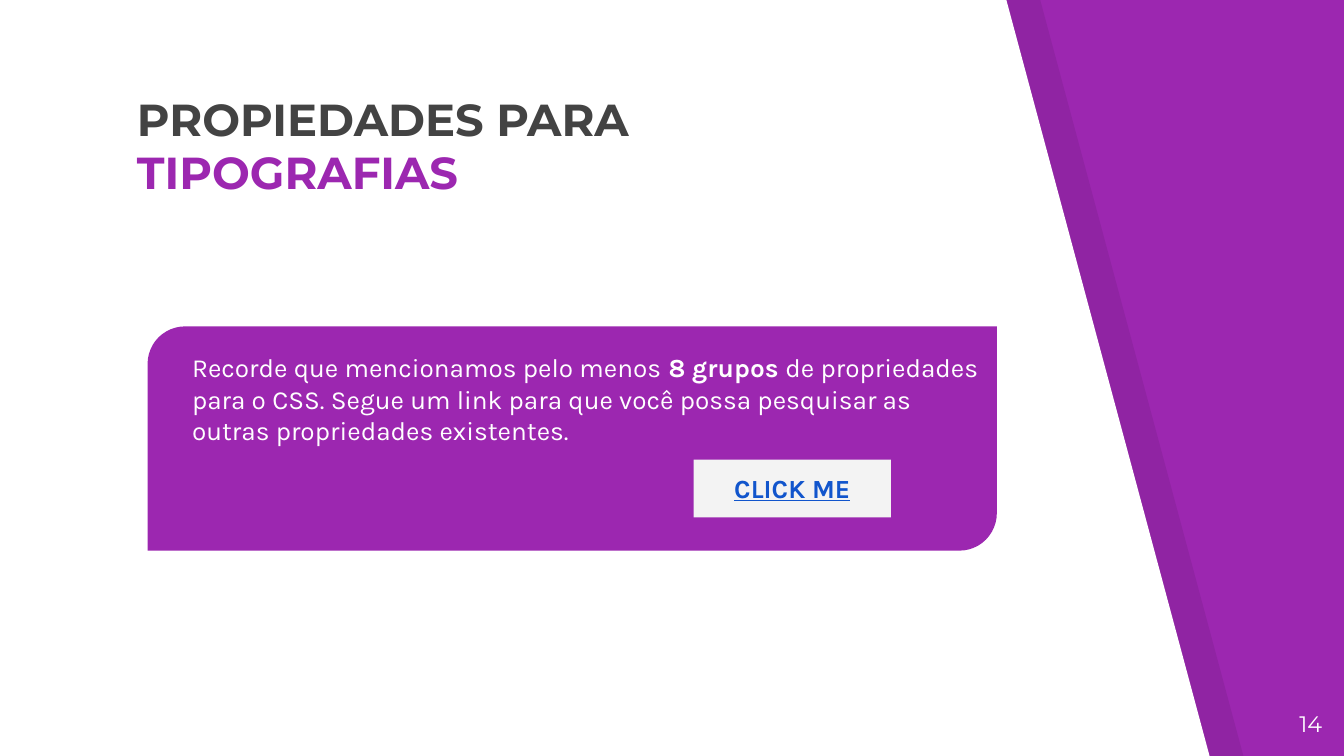
from dataclasses import dataclass

from lxml.etree import SubElement
from pptx import Presentation
from pptx.dml.color import RGBColor
from pptx.enum.shapes import MSO_SHAPE
from pptx.enum.text import MSO_ANCHOR, PP_ALIGN
from pptx.oxml.ns import qn
from pptx.util import Cm, Pt


@dataclass(frozen=True)
class Theme:
    purple: str = "9C27B0"
    white: str = "FFFFFF"
    black: str = "000000"
    charcoal: str = "434343"
    light_gray: str = "F3F3F3"
    link_blue: str = "1155CC"
    heading_font: str = "Montserrat"
    body_font: str = "Karla"
    title_size: int = 24
    body_size: int = 14
    number_size: int = 12
    inset: float = 0.25


class SlideBuilder:
    def __init__(self, slide, theme):
        self.slide = slide
        self.theme = theme

    def background(self, color):
        fill = self.slide.background.fill
        fill.solid()
        fill.fore_color.rgb = RGBColor.from_string(color)

    def paint(self, shape, color, opacity=100):
        shape.shadow.inherit = False
        shape.line.fill.background()
        shape.fill.solid()
        shape.fill.fore_color.rgb = RGBColor.from_string(color)
        if opacity < 100:
            tint = shape.fill._xPr.find(qn("a:solidFill"))[0]
            SubElement(tint, qn("a:alpha")).set("val", str(opacity * 1000))

    def polygon(self, points, color, opacity=100):
        corners = [(Cm(x), Cm(y)) for x, y in points]
        outline = self.slide.shapes.build_freeform(*corners[0])
        outline.add_line_segments(corners[1:], close=True)
        self.paint(outline.convert_to_shape(), color, opacity)

    def block(self, kind, box, color):
        block = self.slide.shapes.add_shape(kind, *map(Cm, box))
        self.paint(block, color)
        return block

    def text_box(self, box, anchor=MSO_ANCHOR.TOP):
        frame = self.slide.shapes.add_textbox(*map(Cm, box)).text_frame
        self.set_frame(frame, anchor)
        return frame

    def set_frame(self, frame, anchor):
        frame.word_wrap = True
        frame.vertical_anchor = anchor
        frame.margin_left = frame.margin_right = Cm(self.theme.inset)
        frame.margin_top = frame.margin_bottom = Cm(self.theme.inset)

    def style(self, run, font, size, color, bold=False, underline=False):
        run.font.name = font
        run.font.size = Pt(size)
        run.font.color.rgb = RGBColor.from_string(color)
        run.font.bold = bold
        run.font.underline = underline


def main():
    theme = Theme()
    deck = Presentation()
    deck.slide_width, deck.slide_height = Cm(25.4), Cm(14.29)
    page = SlideBuilder(deck.slides.add_slide(deck.slide_layouts[6]), theme)

    # Slanted white panel with its shaded edge
    page.background(theme.purple)
    for offset, color, opacity in ((0.64, theme.black, 7), (0, theme.white, 100)):
        corners = [(0, 0), (0, 14.29), (22.86, 14.29), (19.02, 0)]
        page.polygon([(x + offset, y) for x, y in corners], color, opacity)

    # Page number
    number = page.text_box((23.72, 13.18, 1.52, 1.09))
    number.text = "14"
    number.paragraphs[0].alignment = PP_ALIGN.RIGHT
    page.style(number.paragraphs[0].runs[0], theme.heading_font,
               theme.number_size, theme.white)

    # Title
    title = page.text_box((2.34, 2.87, 13.34, 1.14), MSO_ANCHOR.BOTTOM)
    title.text = "PROPIEDADES PARA\nTIPOGRAFIAS"
    for line, color in zip(title.paragraphs, (theme.charcoal, theme.purple)):
        page.style(line.runs[0], theme.heading_font, theme.title_size, color, bold=True)

    # Reminder card
    card = page.block(MSO_SHAPE.ROUND_2_DIAG_RECTANGLE,
                      (2.79, 6.17, 16.05, 4.24), theme.purple)
    card.adjustments[0], card.adjustments[1] = 0.167, 0
    reminder = page.text_box((3.38, 6.4, 15.47, 1.37)).paragraphs[0]
    for words, bold in (
        ("Recorde que mencionamos pelo menos", False),
        (" 8 grupos ", True),
        ("de propriedades para o CSS. Segue um link para que você possa "
         "pesquisar as outras propriedades existentes.", False),
    ):
        run = reminder.add_run()
        run.text = words
        page.style(run, theme.body_font, theme.body_size, theme.white, bold)

    # Link button
    button = page.block(MSO_SHAPE.RECTANGLE, (13.11, 8.69, 3.73, 1.09), theme.light_gray)
    label = button.text_frame
    page.set_frame(label, MSO_ANCHOR.MIDDLE)
    label.text = "CLICK ME"
    label.paragraphs[0].alignment = PP_ALIGN.CENTER
    page.style(label.paragraphs[0].runs[0], theme.body_font, theme.body_size,
               theme.link_blue, bold=True, underline=True)

    deck.save("out.pptx")


if __name__ == "__main__":
    main()
